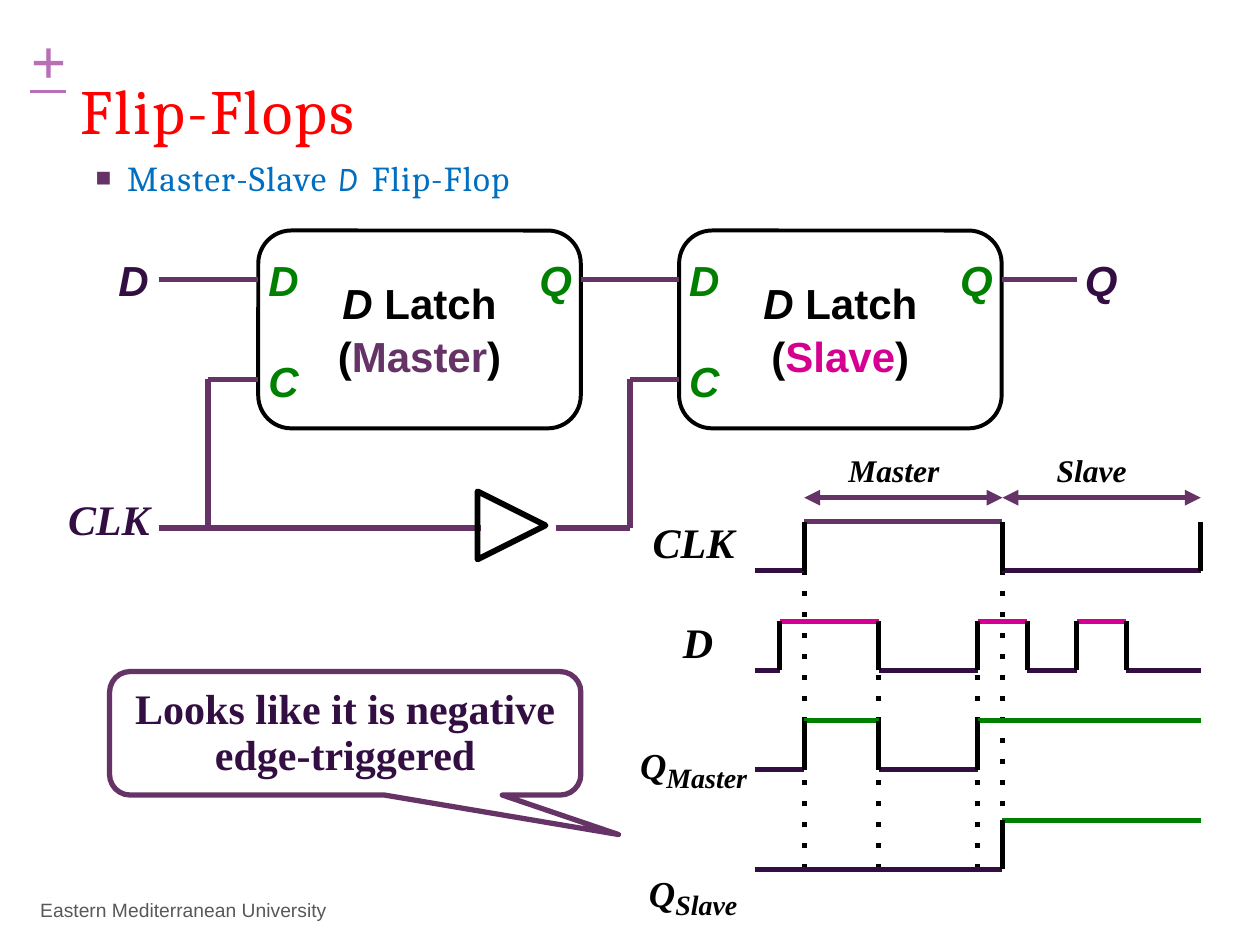
from itertools import pairwise

from pptx import Presentation
from pptx.dml.color import RGBColor
from pptx.enum.shapes import MSO_SHAPE as Shape
from pptx.enum.text import MSO_ANCHOR as Anchor, MSO_AUTO_SIZE as AutoSize, PP_ALIGN as Align
from pptx.oxml.ns import qn
from pptx.util import Inches, Pt
from lxml.etree import SubElement

PLUM, DARK, GREEN, PINK, BLACK = "663366", "330E42", "008000", "D50092", "000000"
SERIF = "Times New Roman"
WIRE = 3


def rgb(value):
    return RGBColor.from_string(value)


def write(paragraph, text, font="Arial", size=24, color=BLACK, bold=True,
          italic=False, underline=False, spacing=0, baseline=0):
    run = paragraph.add_run()
    run.text = text
    run.font.name, run.font.size = font, Pt(size)
    run.font.bold, run.font.italic, run.font.underline = bold, italic, underline
    run.font.color.rgb = rgb(color)
    props = run._r.get_or_add_rPr()
    if spacing:
        props.set("spc", str(round(spacing * 100)))
    if baseline:
        props.set("baseline", str(baseline * 1000))


def set_frame(frame, anchor=Anchor.TOP, margin=0.01):
    frame.word_wrap = True
    frame.auto_size = AutoSize.NONE
    frame.vertical_anchor = anchor
    frame.margin_left = frame.margin_top = Inches(margin)
    frame.margin_right = frame.margin_bottom = 0
    return frame.paragraphs[0]


def place(shape, left, top, width, height):
    shape.left, shape.top = Inches(left), Inches(top)
    shape.width, shape.height = Inches(width), Inches(height)


def label(slide, left, top, width, height, text=None, **fmt):
    """Add a text box and return its first paragraph."""
    box = slide.shapes.add_textbox(*map(Inches, (left, top, width, height)))
    paragraph = set_frame(box.text_frame)
    if text:
        write(paragraph, text, **fmt)
    return paragraph


def outline(slide, kind, left, top, width, height, color, weight):
    shape = slide.shapes.add_shape(kind, *map(Inches, (left, top, width, height)))
    shape.shadow.inherit = False
    shape.fill.background()
    shape.line.color.rgb = rgb(color)
    shape.line.width = Pt(weight)
    return shape


def wire(slide, *points, color=PLUM, dash=None, arrows=False):
    """Join the points with straight connectors."""
    for start, end in pairwise(points):
        line = slide.shapes.add_connector(1, *map(Inches, (*start, *end)))
        SubElement(line._element.spPr, qn("a:effectLst"))
        line.line.color.rgb = rgb(color)
        line.line.width = Pt(WIRE)
        ln = line.line._get_or_add_ln()
        if dash:
            SubElement(ln, qn("a:prstDash"), val=dash)
        if arrows:
            for tip in ("a:headEnd", "a:tailEnd"):
                SubElement(ln, qn(tip), type="triangle")


def heading(slide, left, top):
    label(slide, left, top, 0.35, 0.63, "+", font=SERIF, size=36,
          color="B86FB8", italic=True, underline=True)
    title = slide.shapes.title
    place(title, left + 0.4, top + 0.4, 2.5, 0.63)
    paragraph = set_frame(title.text_frame)
    paragraph.alignment = Align.LEFT
    write(paragraph, "Flip-Flops", font="Cambria", size=36, color="FF0000",
          bold=False, spacing=1.1)


def topic_list(slide, left, top):
    body = slide.placeholders[1]
    place(body, left, top, 3.6, 0.36)
    paragraph = set_frame(body.text_frame, margin=0)
    paragraph.space_before = Pt(0)
    props = paragraph._p.get_or_add_pPr()
    props.set("marL", str(Inches(0.26)))
    props.set("indent", str(Inches(-0.25)))
    SubElement(SubElement(props, qn("a:buClr")), qn("a:srgbClr"), val=PLUM)
    SubElement(props, qn("a:buSzPct"), val="75000")
    SubElement(props, qn("a:buChar"), char="■")
    style = dict(size=20, color="006FC0", bold=False)
    write(paragraph, "Master-Slave ", font="Cambria", spacing=0.7, **style)
    write(paragraph, "D ", font="Karla", italic=True, spacing=1.9, **style)
    write(paragraph, "Flip-Flop", font="Cambria", spacing=0.6, **style)


def latch(slide, left, top, role, role_color):
    box = outline(slide, Shape.ROUNDED_RECTANGLE, left, top, 2.56, 1.57, BLACK, 2.28)
    kind = set_frame(box.text_frame, Anchor.MIDDLE, margin=0)
    kind.alignment = Align.CENTER
    write(kind, "D ", italic=True)
    write(kind, "Latch")
    name = box.text_frame.add_paragraph()
    name.alignment = Align.CENTER
    name.space_before = Pt(1.5)
    write(name, "(")
    write(name, role, color=role_color)
    write(name, ")")
    for pin, dx, dy in (("D", 0.07, 0.18), ("C", 0.07, 0.98), ("Q", 2.22, 0.18)):
        label(slide, left + dx, top + dy, 0.32, 0.43, pin, color=GREEN, italic=True)


def circuit(slide, left, top):
    """Draw both latches, the inverter and the wires between them."""
    master, slave, latch_width = left + 0.79, left + 4.13, 2.56
    data, clock_pin, clock = top + 0.39, top + 1.18, top + 2.36
    master_branch, slave_branch = left + 0.39, left + 3.74
    latch(slide, master, top, "Master", PLUM)
    latch(slide, slave, top, "Slave", PINK)
    wire(slide, (left, data), (master, data))
    wire(slide, (master + latch_width, data), (slave, data))
    wire(slide, (slave + latch_width, data), (left + 7.29, data))
    wire(slide, (left, clock), (left + 2.56, clock))
    wire(slide, (master_branch, clock), (master_branch, clock_pin), (master, clock_pin))
    wire(slide, (left + 3.15, clock), (slave_branch, clock),
         (slave_branch, clock_pin), (slave, clock_pin))
    inverter = outline(slide, Shape.ISOSCELES_TRIANGLE, left + 2.53, top + 2.07,
                       0.54, 0.54, BLACK, 3.31)
    inverter.rotation = 90
    terminal = dict(color=DARK, italic=True)
    label(slide, left - 0.33, top + 0.18, 0.32, 0.43, "D", **terminal)
    label(slide, left + 7.34, top + 0.18, 0.32, 0.43, "Q", **terminal)
    label(slide, left - 0.73, top + 2.08, 0.75, 0.43, "CLK", font=SERIF, **terminal)


def timing_diagram(slide, left, top, width):
    """Draw four signals on a time grid of 18 steps."""
    last, pitch, swing = 18, 0.79, 0.39
    signals = (  # steps at which each signal toggles, starting low
        ((2, 10, last), PLUM),
        ((1, 5, 9, 11, 13, 15), PINK),
        ((2, 5, 9), GREEN),
        ((10,), GREEN),
    )

    def at(step):
        return left + width * step / last

    bottom = top + 3 * pitch + swing
    for step, row in ((2, 0), (5, 1), (9, 1), (10, 0)):
        wire(slide, (at(step), bottom), (at(step), top + row * pitch + swing),
             color=BLACK, dash="dot")

    for row, (toggles, high_color) in enumerate(signals):
        high = top + row * pitch
        low = high + swing
        for index, (start, end) in enumerate(pairwise((0, *toggles, last))):
            level, color = (high, high_color) if index % 2 else (low, DARK)
            if start < end:
                wire(slide, (at(start), level), (at(end), level), color=color)
        for step in toggles:
            wire(slide, (at(step), low), (at(step), high), color=BLACK)

    style = dict(font=SERIF, italic=True)
    for name, start, end, offset in (("Master", 2, 10, 0.34), ("Slave", 10, last, 0.42)):
        wire(slide, (at(start), top - 0.19), (at(end), top - 0.19), arrows=True)
        label(slide, at(start) + offset, top - 0.57, 0.85, 0.33, name, size=18, **style)
    label(slide, left - 0.82, top - 0.05, 0.75, 0.43, "CLK", **style)
    label(slide, left - 0.58, top + 0.74, 0.32, 0.43, "D", **style)
    for name, dx, dy in (("Master", -0.92, 1.61), ("Slave", -0.85, 2.62)):
        output = label(slide, left + dx, top + dy, 1.05, 0.6)
        write(output, "Q", size=36, baseline=14, **style)
        write(output, name, size=16, **style)


def remark(slide, left, top, width, height):
    callout = outline(slide, Shape.ROUNDED_RECTANGULAR_CALLOUT,
                      left, top, width, height, PLUM, WIRE)
    callout.adjustments[0], callout.adjustments[1] = 0.58, 0.82
    paragraph = set_frame(callout.text_frame, Anchor.MIDDLE, margin=0)
    paragraph.alignment = Align.CENTER
    paragraph.line_spacing = Pt(25.9)
    write(paragraph, "Looks like it is negative edge-triggered", font=SERIF, color=DARK)


def main():
    deck = Presentation()
    deck.slide_width, deck.slide_height = Inches(10), Inches(7.5)
    slide = deck.slides.add_slide(deck.slide_layouts[1])
    heading(slide, 0.23, 0.16)
    topic_list(slide, 0.75, 1.24)
    circuit(slide, 1.26, 1.83)
    timing_diagram(slide, 5.99, 4.14, 3.54)
    remark(slide, 0.87, 5.33, 3.74, 0.98)
    label(slide, 0.31, 7.12, 2.5, 0.2, "Eastern Mediterranean University",
          size=11, color="585858", bold=False)
    deck.save("out.pptx")


if __name__ == "__main__":
    main()
